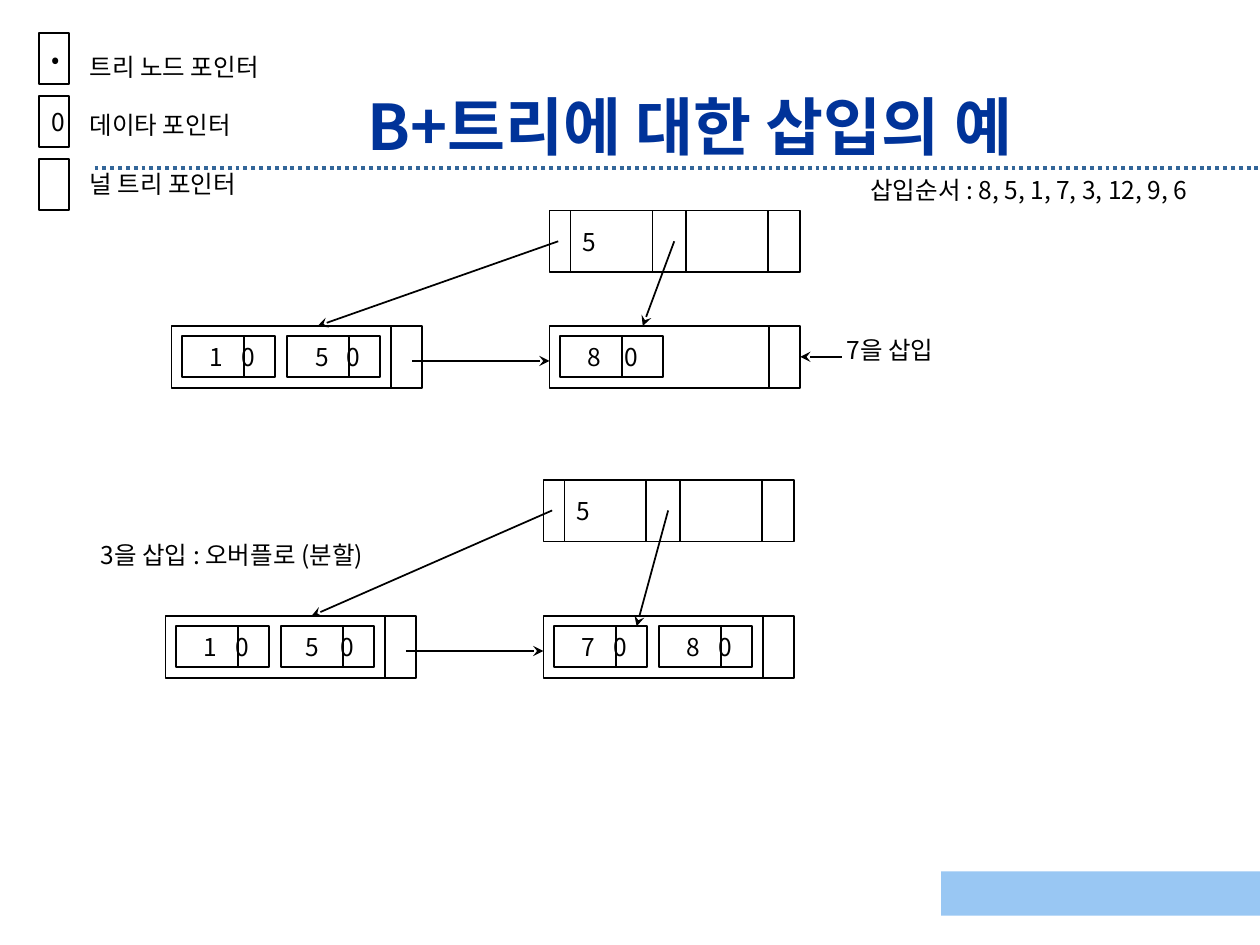
from dataclasses import dataclass

import pptx
import pptx.dml.color
import pptx.enum.dml
import pptx.enum.shapes
import pptx.enum.text
import pptx.oxml.ns
import pptx.util
from lxml import etree
from pptx.shapes.autoshape import Shape
from pptx.shapes.connector import Connector
from pptx.shapes.shapetree import SlideShapes
from pptx.text.text import TextFrame

Pt = pptx.util.Pt
qn = pptx.oxml.ns.qn
BLACK = pptx.dml.color.RGBColor(0x00, 0x00, 0x00)
WHITE = pptx.dml.color.RGBColor(0xFF, 0xFF, 0xFF)
RULE_BLUE = pptx.dml.color.RGBColor(0x33, 0x66, 0x99)
BAND_BLUE = pptx.dml.color.RGBColor(0x99, 0xC7, 0xF3)
TITLE_BLUE = pptx.dml.color.RGBColor(0x00, 0x33, 0x99)
FONT = "Noto Sans CJK KR"

NODE_WIDTH, NODE_HEIGHT = 143.3, 35.3
ENTRY_HEIGHT = 23.2
ENTRY_INSET = 5.9
ENTRY_PITCH = 60.2
LEGEND_PITCH = 36


@dataclass(frozen=True)
class Entry:
    """A key and its data pointer; offsets are measured from the left edge."""
    key: str
    width: float = 53.3
    key_offset: float = 16
    pointer_offset: float = 34


@dataclass(frozen=True)
class Leaf:
    left: float
    entries: tuple[Entry, ...]


@dataclass(frozen=True)
class Tree:
    root_left: float
    root_top: float
    leaf_top: float
    root_key: str
    leaves: tuple[Leaf, Leaf]
    right_arrow_drop: float = 0


TREES = (
    Tree(314, 120.3, 186.3, "5", (
        Leaf(98, (Entry("1"), Entry("5"))),
        Leaf(314, (Entry("8", width=59, pointer_offset=37),)),
    )),
    Tree(310.5, 274.1, 352, "5", (
        Leaf(94.5, (Entry("1"), Entry("5", key_offset=14))),
        Leaf(310.5, (Entry("7"), Entry("8"))),
    ), right_arrow_drop=5.9),
)


def write(frame: TextFrame, text: str, size: float = 14,
          color: pptx.dml.color.RGBColor = BLACK, bold: bool = False) -> None:
    frame.text = text
    frame.word_wrap = True
    for paragraph in frame.paragraphs:
        paragraph.alignment = pptx.enum.text.PP_ALIGN.LEFT
        for run in paragraph.runs:
            run.font.size = Pt(size)
            run.font.bold = bold
            run.font.color.rgb = color
            run.font.name = FONT
            east_asian = etree.SubElement(run._r.get_or_add_rPr(), qn("a:ea"))
            east_asian.set("typeface", FONT)


def add_box(shapes: SlideShapes, left: float, top: float, width: float,
            height: float, text: str = "") -> Shape:
    box = shapes.add_shape(pptx.enum.shapes.MSO_SHAPE.RECTANGLE,
                           Pt(left), Pt(top), Pt(width), Pt(height))
    box.shadow.inherit = False
    box.fill.solid()
    box.fill.fore_color.rgb = WHITE
    box.line.color.rgb = BLACK
    box.line.width = Pt(1)
    if text:
        box.text_frame.margin_right = 0
        box.text_frame.vertical_anchor = pptx.enum.text.MSO_ANCHOR.MIDDLE
        write(box.text_frame, text)
    return box


def add_line(shapes: SlideShapes, x1: float, y1: float, x2: float, y2: float,
             arrow: bool = False) -> Connector:
    line = shapes.add_connector(pptx.enum.shapes.MSO_CONNECTOR.STRAIGHT,
                                Pt(x1), Pt(y1), Pt(x2), Pt(y2))
    line.line.color.rgb = BLACK
    line.line.width = Pt(1)
    if arrow:
        tail = etree.SubElement(line.line._get_or_add_ln(), qn("a:tailEnd"))
        tail.set("type", "stealth")
    etree.SubElement(line._element.spPr, qn("a:effectLst"))
    return line


def add_label(shapes: SlideShapes, left: float, top: float, width: float,
              height: float, text: str) -> TextFrame:
    label = shapes.add_textbox(Pt(left), Pt(top), Pt(width), Pt(height))
    write(label.text_frame, text)
    return label.text_frame


def add_entry(shapes: SlideShapes, left: float, top: float, entry: Entry) -> None:
    cell = add_box(shapes, left, top, entry.width, ENTRY_HEIGHT, f"{entry.key}\t0")
    cell.text_frame.margin_left = Pt(entry.key_offset)
    properties = cell.text_frame.paragraphs[0]._p.get_or_add_pPr()
    stops = etree.SubElement(properties, qn("a:tabLst"))
    stop = etree.SubElement(stops, qn("a:tab"))
    stop.set("pos", str(int(Pt(entry.pointer_offset - entry.key_offset))))
    stop.set("algn", "l")


def add_leaf(shapes: SlideShapes, leaf: Leaf, top: float) -> None:
    add_box(shapes, leaf.left, top, NODE_WIDTH, NODE_HEIGHT)
    entry_top = top + ENTRY_INSET
    for index, entry in enumerate(leaf.entries):
        entry_left = leaf.left + ENTRY_INSET + index * ENTRY_PITCH
        add_entry(shapes, entry_left, entry_top, entry)
        divider = entry_left + 35.5
        add_line(shapes, divider, entry_top, divider, entry_top + ENTRY_HEIGHT)
    next_pointer = leaf.left + 125.4
    add_line(shapes, next_pointer, top, next_pointer, top + NODE_HEIGHT)


def add_tree(shapes: SlideShapes, tree: Tree) -> None:
    left, top = tree.root_left, tree.root_top
    add_box(shapes, left, top, NODE_WIDTH, NODE_HEIGHT)
    for offset, key in ((12, tree.root_key), (78, "")):
        add_box(shapes, left + offset, top, 46.8, NODE_HEIGHT, key)
    for leaf in tree.leaves:
        add_leaf(shapes, leaf, tree.leaf_top)

    first, second = tree.leaves
    pointer_y = top + 17.6
    chain_y = tree.leaf_top + 20
    add_line(shapes, left + 5, pointer_y, first.left + 83.5, tree.leaf_top, arrow=True)
    add_line(shapes, left + 71.3, pointer_y, second.left + 53.3,
             tree.leaf_top + tree.right_arrow_drop, arrow=True)
    add_line(shapes, first.left + 137.5, chain_y, second.left, chain_y, arrow=True)


def add_legend(shapes: SlideShapes) -> None:
    for index, symbol in enumerate(("•", "0", "")):
        add_box(shapes, 22.1, 18.9 + index * LEGEND_PITCH, 17.3, 29, symbol)
    meanings = add_label(shapes, 44.2, 26, 120, 90.7,
                         "트리 노드 포인터\n데이타 포인터\n널 트리 포인터")
    for paragraph in meanings.paragraphs[1:]:
        paragraph.space_before = Pt(16.8)


def add_title(shapes: SlideShapes) -> None:
    title = shapes.add_textbox(Pt(163.4), Pt(33.8), Pt(461.5), Pt(45.4))
    write(title.text_frame, "B+트리에 대한 삽입의 예", 36, TITLE_BLUE, True)
    heading = title.text_frame.paragraphs[0]
    heading.alignment = pptx.enum.text.PP_ALIGN.CENTER
    heading.line_spacing = 1.3


def main() -> None:
    presentation = pptx.Presentation()
    presentation.slide_width, presentation.slide_height = Pt(720), Pt(540)
    shapes = presentation.slides.add_slide(presentation.slide_layouts[6]).shapes

    title_rule = add_line(shapes, 54, 95.8, 720, 95.8)
    title_rule.line.color.rgb = RULE_BLUE
    title_rule.line.width = Pt(2.25)
    title_rule.line.dash_style = pptx.enum.dml.MSO_LINE.ROUND_DOT
    footer_band = add_box(shapes, 537.8, 498, 182.9, 25.2)
    footer_band.fill.fore_color.rgb = BAND_BLUE
    footer_band.line.fill.background()

    for tree in TREES:
        add_tree(shapes, tree)
    add_line(shapes, 481, 203.9, 457.3, 203.9, arrow=True)
    add_label(shapes, 476.6, 188, 72, 24, "7을 삽입")
    add_label(shapes, 490.3, 96.5, 206.6, 24, "삽입순서 : 8, 5, 1, 7, 3, 12, 9, 6")
    add_label(shapes, 50.4, 305.3, 177, 24, "3을 삽입 : 오버플로 (분할)")
    add_legend(shapes)
    add_title(shapes)
    presentation.save("out.pptx")


if __name__ == "__main__":
    main()
